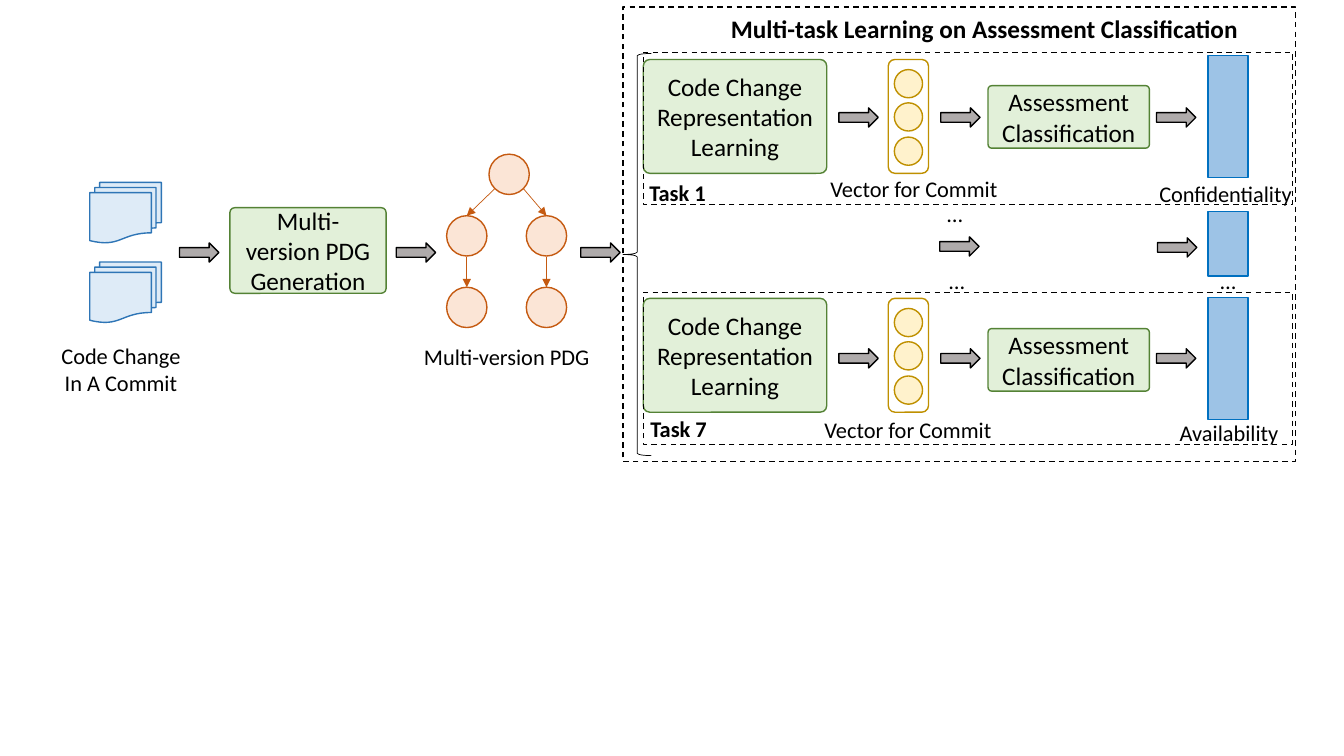
from lxml import etree
from pptx import Presentation
from pptx.dml.color import RGBColor
from pptx.enum.dml import MSO_LINE
from pptx.enum.shapes import MSO_CONNECTOR, MSO_SHAPE as SHAPE
from pptx.enum.text import MSO_ANCHOR, MSO_AUTO_SIZE, PP_ALIGN
from pptx.oxml.ns import qn
from pptx.util import Pt

PX = 9144  # one px is a hundredth of an inch

THEME = {
    "font": "Calibri", "text": "000000",
    "large": 18, "label": 16,
    "thin": 0.5, "normal": 1,
    # style: (fill, line)
    "page": ("DEEBF7", "2E75B6"),
    "step": ("E2F0D9", "548235"),
    "node": ("FBE5D6", "C55A11"),
    "vector": (None, "BF9000"),
    "cell": ("FFF2CC", "BF9000"),
    "bar": ("9DC3E6", "0070C0"),
    "arrow": ("AFABAB", "000000"),
    "frame": (None, "000000"),
}


def add_box(parent, kind, x, y, w, h, style, text=""):
    fill, line = THEME[style]
    sp = parent.add_shape(kind, x * PX, y * PX, w * PX, h * PX)
    sp.shadow.inherit = False
    if fill:
        sp.fill.solid()
        sp.fill.fore_color.rgb = RGBColor.from_string(fill)
    else:
        sp.fill.background()
    sp.line.color.rgb = RGBColor.from_string(line)
    sp.line.width = Pt(THEME["normal"])
    if style == "step":
        sp.adjustments[0] = 0.058
    if text:
        tf = sp.text_frame
        tf.word_wrap = True
        tf.vertical_anchor = MSO_ANCHOR.MIDDLE
        p = tf.paragraphs[0]
        p.text, p.alignment = text, PP_ALIGN.CENTER
        p.font.name, p.font.size = THEME["font"], Pt(THEME["large"])
        p.font.color.rgb = RGBColor.from_string(THEME["text"])
    return sp


def add_label(parent, x, y, w, h, text, size="label", bold=False):
    tf = parent.add_textbox(x * PX, y * PX, w * PX, h * PX).text_frame
    tf.word_wrap = True
    tf.auto_size = MSO_AUTO_SIZE.SHAPE_TO_FIT_TEXT
    tf.text = text
    for p in tf.paragraphs:
        p.alignment = PP_ALIGN.CENTER
        p.font.name, p.font.size = THEME["font"], Pt(THEME[size])
        p.font.bold = bold
        p.font.color.rgb = RGBColor.from_string(THEME["text"])


prs = Presentation()
prs.slide_width, prs.slide_height = 1333 * PX, 750 * PX
shapes = prs.slides.add_slide(prs.slide_layouts[6]).shapes

# Multi-task panel
add_label(shapes, 643, 8, 667, 40, "Multi-task Learning on Assessment Classification",
          "large", True)
panel = add_box(shapes, SHAPE.RECTANGLE, 618, 7, 667, 451, "frame")
panel.line.dash_style = MSO_LINE.DASH

# Commit and graph generation
pipeline = shapes.add_group_shape().shapes
for y in (181, 260):
    add_box(pipeline, SHAPE.FLOWCHART_MULTIDOCUMENT, 89, y, 71, 60, "page")
add_box(pipeline, SHAPE.ROUNDED_RECTANGLE, 228, 206, 155, 85, "step",
        "Multi-version PDG Generation")

# Dependence graph: root, two middle nodes, two leaves
NODE = 40
root, left, right, left_leaf, right_leaf = [
    add_box(pipeline, SHAPE.OVAL, x, y, NODE, NODE, "node")
    for x, y in ((485, 153), (443, 214), (522, 214), (443, 285), (522, 285))]
for x, y, child in ((491, 187, left), (519, 187, right),
                    (542, 255, right_leaf), (463, 255, left_leaf)):
    edge = pipeline.add_connector(MSO_CONNECTOR.STRAIGHT, x * PX, y * PX, x * PX, y * PX)
    edge.end_connect(child, 0)
    edge.line.color.rgb = RGBColor.from_string(THEME["node"][1])
    edge.line.width = Pt(THEME["thin"])
    etree.SubElement(edge.line._get_or_add_ln(), qn("a:tailEnd"), type="triangle")
    etree.SubElement(edge._element.spPr, qn("a:effectLst"))

add_label(pipeline, 385, 336, 235, 37, "Multi-version PDG")
add_label(pipeline, 32, 335, 176, 64, "Code Change\nIn A Commit")
for x in (178, 393, 576):
    add_box(pipeline, SHAPE.RIGHT_ARROW, x, 241, 39, 19, "arrow")

# Tasks: tops of the learning step, classifier, bar and arrows, then labels
TASKS = (
    (296, 326, 295, 346, (783, 408, 235), (1147, 411, 144, "Availability")),
    (59, 85, 55, 107, (813, 169, 187), (1138, 174, 155, "Confidentiality")),
)
for top, classifier_y, bar_y, arrow_y, vector_label, output_label in TASKS:
    task = shapes.add_group_shape().shapes
    add_box(task, SHAPE.ROUNDED_RECTANGLE, 638, top, 182, 113, "step",
            "Code Change Representation Learning")
    add_box(task, SHAPE.ROUNDED_RECTANGLE, 881, top, 40, 113, "vector")
    for dy in (10, 43, 77):
        add_box(task, SHAPE.OVAL, 887, top + dy, 28, 28, "cell")
    add_box(task, SHAPE.ROUNDED_RECTANGLE, 980, classifier_y, 160, 62, "step",
            "Assessment Classification")
    add_box(task, SHAPE.RECTANGLE, 1198, bar_y, 40, 121, "bar")
    x, y, w, output = output_label
    add_label(task, x, y, w, 37, output)
    add_label(task, *vector_label, 37, "Vector for Commit")
    for x in (832, 933, 1147):
        add_box(task, SHAPE.RIGHT_ARROW, x, arrow_y, 39, 19, "arrow")

# Brace that opens the tasks
brace = add_box(shapes, SHAPE.LEFT_BRACE, 618, 53, 28, 399, "frame")
brace.line.width = Pt(THEME["thin"])

# Tasks left out between the first and the last
add_box(shapes, SHAPE.RECTANGLE, 1198, 210, 40, 64, "bar")
for x, y in ((1148, 236), (932, 235)):
    add_box(shapes, SHAPE.RIGHT_ARROW, x, y, 39, 19, "arrow")
for x, y in ((921, 260), (919, 194), (1190, 260)):
    add_label(shapes, x, y, 56, 37, "…")

# Task frames and names
for frame_y, x, y, name in ((52, 631, 173, "Task 1"), (290, 632, 407, "Task 7")):
    frame = add_box(shapes, SHAPE.RECTANGLE, 638, frame_y, 644, 151, "frame")
    frame.line.dash_style = MSO_LINE.DASH
    add_label(shapes, x, y, 82, 37, name, bold=True)

prs.save("out.pptx")
